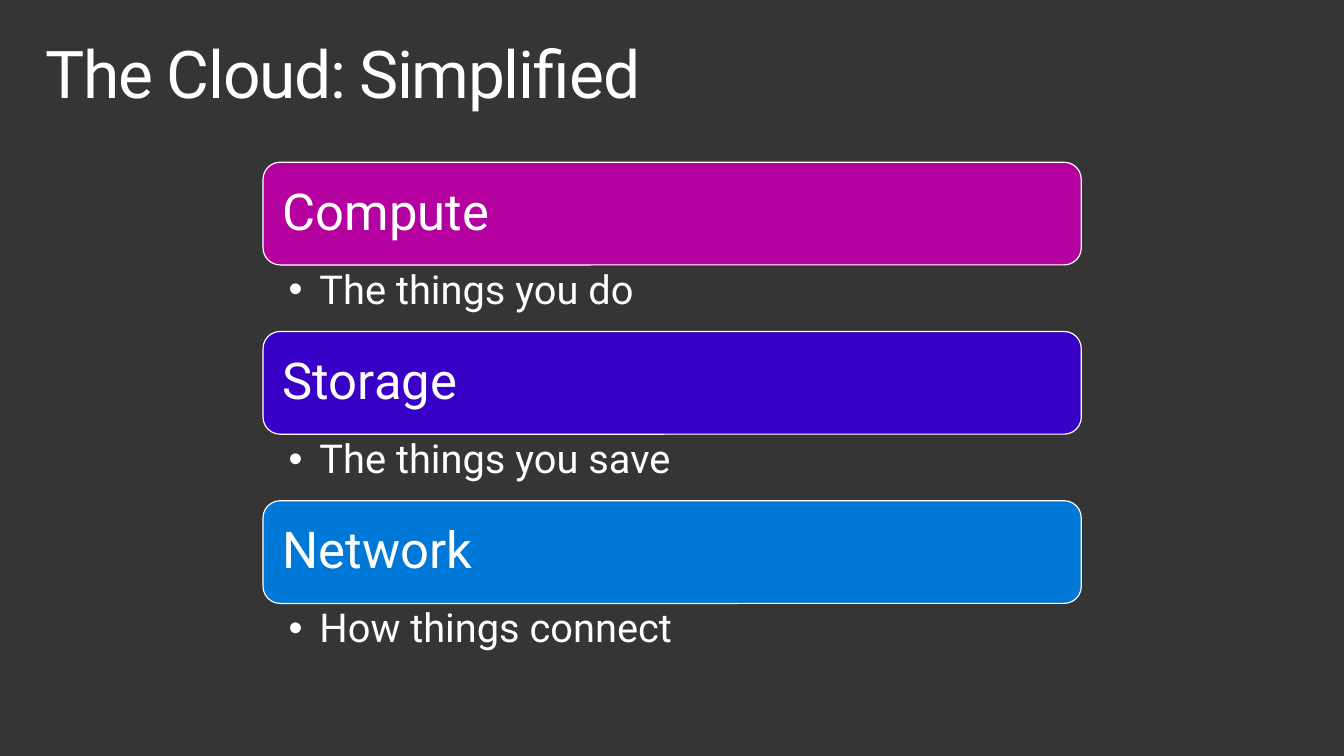
from dataclasses import dataclass

from lxml.etree import SubElement
from pptx import Presentation
from pptx.dml.color import RGBColor
from pptx.enum.shapes import MSO_SHAPE
from pptx.enum.text import MSO_ANCHOR, PP_ALIGN
from pptx.oxml.ns import qn
from pptx.util import Cm, Pt


@dataclass(frozen=True)
class Theme:
    """Colours, font and type sizes."""
    font: str = "Roboto"
    back: str = "353535"
    ink: str = "FFFFFF"
    pink: str = "B4009E"
    violet: str = "3800C6"
    blue: str = "0078D7"
    title: int = 48
    head: int = 37
    note: int = 29
    edge: float = 0.85


class Deck:
    """Draws styled elements on the current slide."""

    def __init__(self, show, theme):
        self.theme = theme
        self.slide = show.slides.add_slide(show.slide_layouts[6])
        self.paint(self.slide.background.fill, theme.back)

    def paint(self, fill, color):
        fill.solid()
        fill.fore_color.rgb = RGBColor.from_string(color)

    def label(self, shape, text, size, pads, anchor=MSO_ANCHOR.TOP):
        frame = shape.text_frame
        frame.word_wrap = True
        frame.vertical_anchor = anchor
        (frame.margin_left, frame.margin_top,
         frame.margin_right, frame.margin_bottom) = map(Cm, pads)
        para = frame.paragraphs[0]
        para.alignment = PP_ALIGN.LEFT
        para.line_spacing = 0.9
        run = para.add_run()
        run.text = text
        run.font.name = self.theme.font
        run.font.size = Pt(size)
        run.font.color.rgb = RGBColor.from_string(self.theme.ink)
        return para, run

    def title(self, text, *area):
        box = self.slide.shapes.add_textbox(*map(Cm, area))
        _, run = self.label(box, text, self.theme.title, (0.41, 0.25, 0.41, 0.25))
        run._r.get_or_add_rPr().set("spc", "-100")

    def bar(self, text, color, *area):
        shape = self.slide.shapes.add_shape(MSO_SHAPE.ROUNDED_RECTANGLE, *map(Cm, area))
        shape.shadow.inherit = False
        self.paint(shape.fill, color)
        self.paint(shape.line.fill, self.theme.ink)
        shape.line.width = Pt(self.theme.edge)
        self.label(shape, text, self.theme.head, (0.38,) * 4, MSO_ANCHOR.MIDDLE)

    def bullet(self, text, *area):
        box = self.slide.shapes.add_textbox(*map(Cm, area))
        para, _ = self.label(box, text, self.theme.note, (0.66, 0.13, 0.74, 0.13))
        props = para._p.get_or_add_pPr()
        props.set("marL", str(Cm(0.79)))
        props.set("indent", str(-Cm(0.79)))
        SubElement(props, qn("a:buFont")).set("typeface", "Arial")
        SubElement(props, qn("a:buChar")).set("char", "•")


def main():
    show = Presentation()
    show.slide_width, show.slide_height = Cm(34.54), Cm(19.43)
    theme = Theme()
    deck = Deck(show, theme)
    deck.title("The Cloud: Simplified", 0.76, 0.81, 33.02, 2.54)
    parts = (
        ("Compute", "The things you do", theme.pink),
        ("Storage", "The things you save", theme.violet),
        ("Network", "How things connect", theme.blue),
    )
    left, top, width = 6.76, 4.17, 21.03
    tall, low = 2.64, 1.71
    for row, (head, note, color) in enumerate(parts):
        y = top + row * (tall + low)
        deck.bar(head, color, left, y, width, tall)
        deck.bullet(note, left, y + tall, width, low)
    show.save("out.pptx")


if __name__ == "__main__":
    main()
